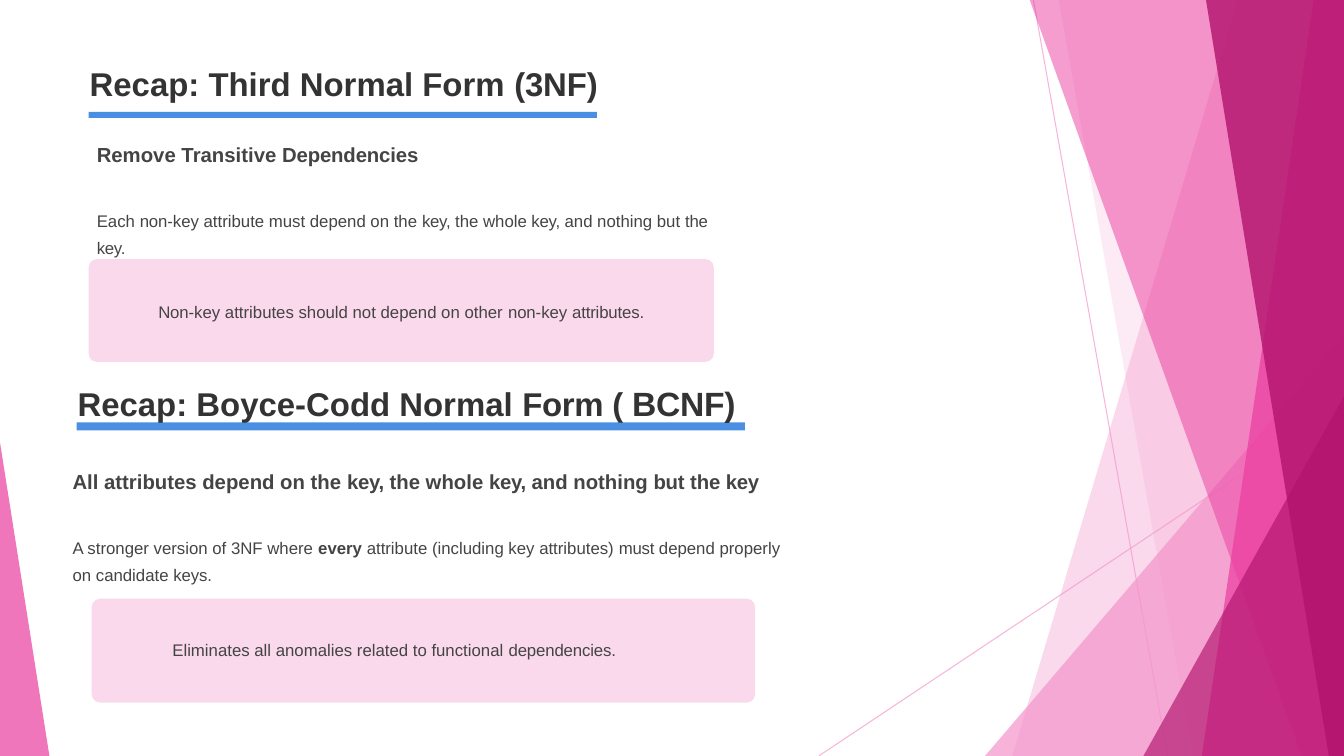
from lxml import etree
from pptx import Presentation
from pptx.dml.color import RGBColor
from pptx.enum import shapes, text
from pptx.oxml import ns
from pptx.util import Inches, Pt

LIGHT_PINK = RGBColor(0xF4, 0x96, 0xCB)
HOT_PINK = RGBColor(0xEB, 0x3D, 0x9F)
MAGENTA = RGBColor(0xB2, 0x13, 0x6D)
PALE_PINK = RGBColor(0xFB, 0xD9, 0xEC)
BLUE = RGBColor(0x4A, 0x8F, 0xE2)
TITLE_GRAY = RGBColor(0x33, 0x33, 0x33)
BODY_GRAY = RGBColor(0x44, 0x44, 0x44)
WIDTH, HEIGHT = 13.33, 7.5
TOP = -0.01

TITLE = {"size": 23.5, "bold": True, "color": TITLE_GRAY}
SUBHEAD = {"size": 14.5, "bold": True, "color": BODY_GRAY}
BODY = {"size": 12, "bold": False, "color": BODY_GRAY}


def set_opacity(element, percent):
    color = element.find(".//" + ns.qn("a:srgbClr"))
    etree.SubElement(color, ns.qn("a:alpha"), val=str(percent * 1000))


def paint(shape, color, opacity=100):
    shape.shadow.inherit = False
    shape.fill.solid()
    shape.fill.fore_color.rgb = color
    shape.line.fill.background()
    if opacity < 100:
        set_opacity(shape.fill._xPr, opacity)


def add_hairline(slide, *ends):
    line = slide.shapes.add_connector(
        shapes.MSO_CONNECTOR.STRAIGHT, *(Inches(end) for end in ends))
    line.line.color.rgb = LIGHT_PINK
    line.line.width = Pt(0.75)
    properties = line._element.spPr
    set_opacity(properties, 70)
    etree.SubElement(properties, ns.qn("a:effectLst"))


def add_facet(slide, top_x, bottom_x, color, opacity):
    corners = [(WIDTH, TOP), (WIDTH, HEIGHT), (bottom_x, HEIGHT)]
    builder = slide.shapes.build_freeform(Inches(top_x), Inches(TOP))
    builder.add_line_segments([(Inches(x), Inches(y)) for x, y in corners])
    paint(builder.convert_to_shape(), color, opacity)


def add_block(slide, preset, box, color, adjustment=None, opacity=100):
    shape = slide.shapes.add_shape(preset, *(Inches(value) for value in box))
    if adjustment is not None:
        shape.adjustments[0] = adjustment
    paint(shape, color, opacity)


def add_triangle(slide, box, apex, color, opacity):
    add_block(slide, shapes.MSO_SHAPE.ISOSCELES_TRIANGLE, box, color, apex, opacity)


def add_bar(slide, *box):
    add_block(slide, shapes.MSO_SHAPE.RECTANGLE, box, BLUE)


def add_panel(slide, *box):
    add_block(slide, shapes.MSO_SHAPE.ROUNDED_RECTANGLE, box, PALE_PINK, 0.08)


def add_runs(paragraph, pieces, style):
    for words, spacing, *changes in pieces:
        look = {**style, **(changes[0] if changes else {})}
        run = paragraph.add_run()
        run.text = words
        run.font.name = "Arial"
        run.font.size = Pt(look["size"])
        run.font.bold = look["bold"]
        run.font.color.rgb = look["color"]
        if spacing:
            run._r.get_or_add_rPr().set("spc", str(round(spacing * 100)))


def add_text(slide, box, top_inset, paragraphs, right_inset=0):
    shape = slide.shapes.add_textbox(*(Inches(value) for value in box))
    frame = shape.text_frame
    frame.word_wrap = True
    frame.vertical_anchor = text.MSO_ANCHOR.TOP
    frame.margin_left = Inches(0.01)
    frame.margin_top = Inches(top_inset)
    frame.margin_right = Inches(right_inset)
    frame.margin_bottom = 0
    for index, (pieces, style, line_spacing) in enumerate(paragraphs):
        paragraph = frame.add_paragraph() if index else frame.paragraphs[0]
        paragraph.line_spacing = line_spacing
        if index:
            paragraph.space_before = Pt(26.7)
        add_runs(paragraph, pieces, style)


def add_backdrop(slide):
    add_hairline(slide, 10.25, 0, 11.58, HEIGHT)
    add_hairline(slide, WIDTH, 4.03, 8.12, HEIGHT)
    add_facet(slide, 12.28, 10.04, LIGHT_PINK, 36)
    add_facet(slide, 10.5, 11.83, LIGHT_PINK, 20)
    add_triangle(slide, (9.77, 3.33, 3.56, 4.17), 1, LIGHT_PINK, 72)
    add_facet(slide, 10.21, 12.91, HOT_PINK, 50)
    add_facet(slide, 13.03, 11.92, HOT_PINK, 70)
    add_facet(slide, 11.96, 13.18, MAGENTA, 80)
    add_triangle(slide, (11.34, 3.93, 1.99, 3.57), 1, MAGENTA, 66)
    add_triangle(slide, (0, 4.39, 0.49, 3.11), 0, HOT_PINK, 70)


def add_third_normal_form(slide):
    add_bar(slide, 0.88, 1.11, 5.04, 0.06)
    add_panel(slide, 0.88, 2.57, 6.2, 1.02)
    add_text(slide, (0.88, 0.59, 6.03, 0.43), 0.04, [
        ([("Recap: Third Normal Form ", 0), ("(3NF)", -0.1)], TITLE, 1.0)])
    add_text(slide, (0.95, 1.38, 6.09, 1.18), 0.03, [
        ([("Remove Transitive ", 0), ("Dependencies", -0.1)], SUBHEAD, 1.0),
        ([("Each ", 0), ("non-", -0.1), ("key attribute must depend on the", 0),
          (" key, ", -0.2), ("the whole", 0), (" key, ", -0.2),
          ("and nothing but ", 0), ("the key.", -0.2)], BODY, 1.33)])
    add_text(slide, (1.56, 2.97, 4.95, 0.23), 0.02, [
        ([("Non-", -0.1), ("key attributes should not depend on other ", 0),
          ("non-", -0.1), ("key ", 0), ("attributes.", -0.1)], BODY, 1.0)])


def add_boyce_codd_normal_form(slide):
    add_bar(slide, 0.76, 4.19, 6.63, 0.08)
    add_panel(slide, 0.91, 5.94, 6.58, 1.03)
    add_text(slide, (0.76, 3.73, 6.84, 0.43), 0.08, [
        ([("Recap: Boyce-Codd Normal ", 0), ("Form ( ", -0.2),
          ("BCNF)", -0.2, {"size": 24})], TITLE, Pt(27.8))])
    add_text(slide, (0.71, 4.56, 7.48, 1.23), 0.02, [
        ([("All attributes depend on the ", 0), ("key, ", -0.2),
          ("the whole ", 0), ("key, ", -0.2), ("and nothing ", 0),
          ("but ", -0.2), ("the", 0), (" key", -0.2)], SUBHEAD, 1.33),
        ([("A stronger version of 3NF where ", 0), ("every ", 0, {"bold": True}),
          ("attribute (including key attributes) ", 0), ("must ", -0.2),
          ("depend properly on candidate ", 0), ("keys.", -0.1)], BODY, 1.33),
    ], right_inset=0.3)
    add_text(slide, (1.7, 6.33, 5.37, 0.21), 0.02, [
        ([("Eliminates all anomalies related to functional ", 0),
          ("dependencies.", -0.1)], BODY, 1.0)])


def main():
    presentation = Presentation()
    presentation.slide_width = Inches(WIDTH)
    presentation.slide_height = Inches(HEIGHT)
    slide = presentation.slides.add_slide(presentation.slide_layouts[6])
    add_backdrop(slide)
    add_third_normal_form(slide)
    add_boyce_codd_normal_form(slide)
    presentation.save("out.pptx")


if __name__ == "__main__":
    main()
